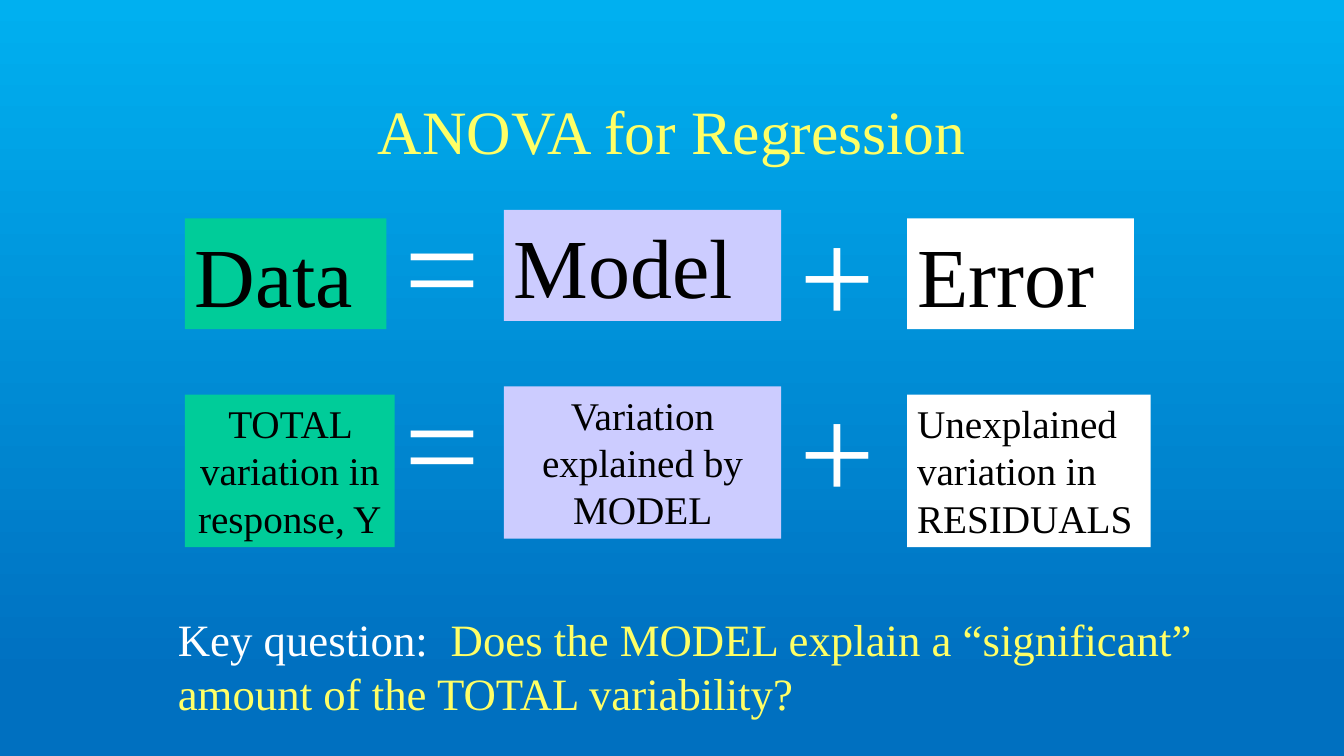
from dataclasses import dataclass

from pptx import Presentation
from pptx.dml.color import RGBColor as Rgb
from pptx.enum import shapes as kinds, text as t
from pptx.util import Pt


@dataclass(frozen=True)
class Theme:
    """Colours, font and type sizes of the slide."""
    font: str = "Times New Roman"
    sky: str = "00B0F0"
    deep: str = "0070C0"
    gold: str = "FFFF66"
    white: str = "FFFFFF"
    black: str = "000000"
    green: str = "00CC99"
    lilac: str = "CCCCFF"
    title: int = 44
    term: int = 60
    sign: int = 96
    note: int = 28
    key: int = 32


LOOK = Theme()
LEFT, MID = t.PP_ALIGN.LEFT, t.PP_ALIGN.CENTER
GAP = 126


def style(font, size, color):
    """Set the typeface, size and colour of a font."""
    font.name = LOOK.font
    font.size = Pt(size)
    font.color.rgb = Rgb.from_string(color)


def write(shape, words, size, align=LEFT, anchor=t.MSO_ANCHOR.TOP):
    """Fill a shape with one paragraph made of (text, colour) parts."""
    frame = shape.text_frame
    frame.word_wrap = True
    frame.vertical_anchor = anchor
    para = frame.paragraphs[0]
    para.alignment = align
    for line, color in words:
        run = para.add_run()
        run.text = line
        style(run.font, size, color)


def add_box(tree, area, fill, line, size, align=LEFT):
    """Add a filled rectangle with black text."""
    box = tree.add_shape(kinds.MSO_SHAPE.RECTANGLE, *map(Pt, area))
    box.shadow.inherit = False
    box.fill.solid()
    box.fill.fore_color.rgb = Rgb.from_string(fill)
    box.line.fill.background()
    write(box, [(line, LOOK.black)], size, align)


def add_label(tree, area, words, size):
    """Add a text box without fill."""
    label = tree.add_textbox(*map(Pt, area))
    write(label, words, size)


def add_row(tree, top, high, size, terms):
    """Add one equation: three boxes joined by an equals and a plus sign."""
    places = ((132, 6, LOOK.green), (360, 0, LOOK.lilac), (648, 6, LOOK.white))
    for (left, drop, fill), (line, wide, align) in zip(places, terms):
        add_box(tree, (left, top + drop, wide, high), fill, line, size, align)
    for sign, left, rise in (("=", 282, 24), ("+", 564, 18)):
        add_label(tree, (left, top - rise, 96, 122.4),
                  [(sign, LOOK.white)], LOOK.sign)


def paint(slide):
    """Give the slide a vertical gradient background."""
    fill = slide.background.fill
    fill.gradient()
    fill.gradient_angle = 270
    colors = ((0, LOOK.sky), (0.9, LOOK.deep))
    for stop, (place, color) in zip(fill.gradient_stops, colors):
        stop.position = place
        stop.color.rgb = Rgb.from_string(color)


def add_title(slide, line):
    """Place and fill the title placeholder."""
    title = slide.shapes.title
    title.left, title.top, title.width, title.height = map(
        Pt, (72, 48, 816, 90))
    write(title, [(line, LOOK.gold)], LOOK.title, MID, t.MSO_ANCHOR.MIDDLE)


def main():
    """Build the slide and save it."""
    deck = Presentation()
    deck.slide_width, deck.slide_height = Pt(960), Pt(540)
    slide = deck.slides.add_slide(deck.slide_layouts[5])
    paint(slide)
    add_title(slide, "ANOVA for Regression")
    group = slide.shapes.add_group_shape()
    add_row(group.shapes, 150, 79.2, LOOK.term, (
        ("Data", 144, LEFT), ("Model", 198, LEFT), ("Error", 162, LEFT)))
    add_row(slide.shapes, 150 + GAP, 108.8, LOOK.note, (
        ("TOTAL variation in response, Y", 150, MID),
        ("Variation explained by MODEL", 198, MID),
        ("Unexplained variation in RESIDUALS", 174, LEFT)))
    add_label(slide.shapes, (120, 433.5, 792, 85), (
        ("Key question: ", LOOK.white),
        (" Does the MODEL explain a “significant” amount of the TOTAL "
         "variability?", LOOK.gold)), LOOK.key)
    deck.save("out.pptx")


if __name__ == "__main__":
    main()
